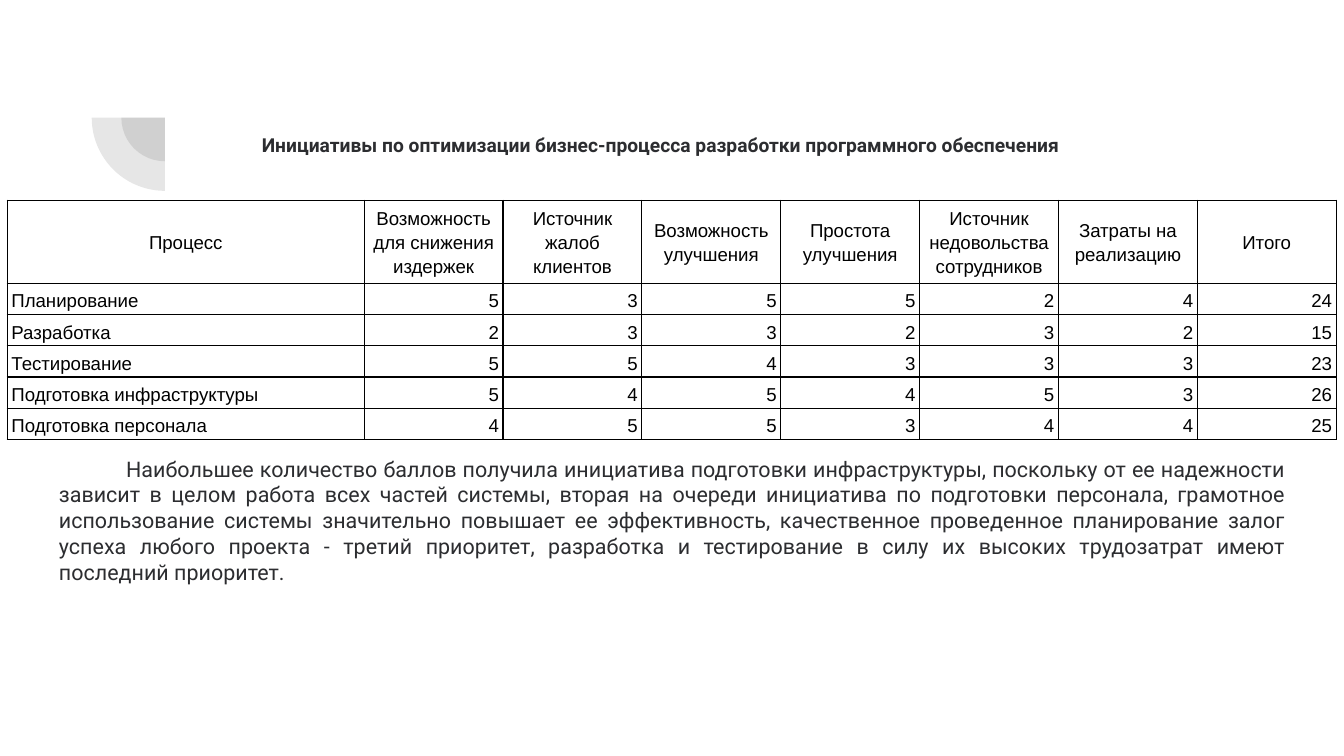
from dataclasses import dataclass

from pptx import Presentation
from pptx.dml.color import RGBColor as Rgb
from pptx.enum.shapes import MSO_SHAPE as Shape
from pptx.enum.text import MSO_ANCHOR as Anchor, PP_ALIGN as Align
from pptx.oxml.ns import qn
from pptx.util import Pt
from lxml.etree import SubElement as Sub


@dataclass(frozen=True)
class Theme:
    ink: str = "2C2D30"
    black: str = "000000"
    white: str = "FFFFFF"
    gray: str = "424242"
    alpha: int = 13000
    font: str = "Roboto"
    grid_font: str = "Arial"
    title: float = 10.3
    body: float = 11.5
    cell: float = 10


THEME = Theme()

TITLE = "Инициативы по оптимизации бизнес-процесса разработки программного обеспечения"
BODY = (
    "Наибольшее количество баллов получила инициатива подготовки инфраструктуры, "
    "поскольку от ее надежности зависит в целом работа всех частей системы, вторая "
    "на очереди инициатива по подготовки персонала, грамотное использование системы "
    "значительно повышает ее эффективность, качественное проведенное планирование "
    "залог успеха любого проекта - третий приоритет, разработка и тестирование в силу "
    "их высоких трудозатрат имеют последний приоритет."
)
HEAD = [
    "Процесс", "Возможность для снижения издержек", "Источник жалоб клиентов",
    "Возможность улучшения", "Простота улучшения",
    "Источник недовольства сотрудников", "Затраты на реализацию", "Итого",
]
SCORES = [
    ("Планирование", 5, 3, 5, 5, 2, 4, 24),
    ("Разработка", 2, 3, 3, 2, 3, 2, 15),
    ("Тестирование", 5, 5, 4, 3, 3, 3, 23),
    ("Подготовка инфраструктуры", 5, 4, 5, 4, 5, 3, 26),
    ("Подготовка персонала", 4, 5, 5, 3, 4, 4, 25),
]


def style(para, size, font, color, align, bold=False):
    para.alignment = align
    para.font.size = Pt(size)
    para.font.name = font
    para.font.bold = bold
    para.font.color.rgb = Rgb.from_string(color)


def add_text(slide, box, text, size, align, anchor, bold=False, indent=0):
    frame = slide.shapes.add_textbox(*map(Pt, box)).text_frame
    frame.word_wrap = True
    frame.vertical_anchor = anchor
    frame.margin_left = frame.margin_right = Pt(7.2)
    frame.margin_top = frame.margin_bottom = Pt(7.2)
    para = frame.paragraphs[0]
    para.text = text
    style(para, size, THEME.font, THEME.ink, align, bold)
    if indent:
        para._p.get_or_add_pPr().set("indent", str(Pt(indent)))


def add_arc(slide, x, y, radius):
    """Draw the lower left quarter of a disc centred at x, y."""
    arc = slide.shapes.add_shape(
        Shape.PIE, Pt(x - radius), Pt(y - radius), Pt(2 * radius), Pt(2 * radius))
    arc.adjustments[0], arc.adjustments[1] = 108, 162
    arc.rotation = 270
    arc.shadow.inherit = False
    arc.line.fill.background()
    arc.fill.solid()
    arc.fill.fore_color.rgb = Rgb.from_string(THEME.gray)
    color = arc.fill._xPr.find(qn("a:solidFill"))[0]
    Sub(color, qn("a:alpha"), val=str(THEME.alpha))


def add_edges(cell):
    props = cell._tc.get_or_add_tcPr()
    for side in ("lnL", "lnR", "lnT", "lnB"):
        line = Sub(props, qn(f"a:{side}"), w=str(Pt(0.75)))
        Sub(Sub(line, qn("a:solidFill")), qn("a:srgbClr"), val=THEME.black)


def fill_cell(cell, text, align, anchor, white):
    cell.margin_left = cell.margin_right = Pt(2.25)
    cell.margin_top = cell.margin_bottom = Pt(1.5)
    cell.vertical_anchor = anchor
    cell.text = text
    para = cell.text_frame.paragraphs[0]
    para.line_spacing = 1.15
    style(para, THEME.cell, THEME.grid_font, THEME.black, align)
    add_edges(cell)
    if white:
        cell.fill.solid()
        cell.fill.fore_color.rgb = Rgb.from_string(THEME.white)
    else:
        cell.fill.background()


def add_grid(slide, x, y, widths, heights, rows):
    table = slide.shapes.add_table(
        len(rows), len(widths), Pt(x), Pt(y), Pt(sum(widths)), Pt(sum(heights))).table
    table.first_row = table.horz_banding = False
    for col, width in zip(table.columns, widths):
        col.width = Pt(width)
    for row, height in zip(table.rows, heights):
        row.height = Pt(height)
    for r, row in enumerate(rows):
        for c, value in enumerate(row):
            if r == 0:
                align = Align.CENTER
            else:
                align = Align.RIGHT if c else Align.LEFT
            anchor = Anchor.BOTTOM if r else Anchor.MIDDLE
            total = r > 0 and c == len(row) - 1
            fill_cell(table.cell(r, c), str(value), align, anchor, total)


def main():
    deck = Presentation()
    deck.slide_width, deck.slide_height = Pt(720), Pt(405)
    slide = deck.slides.add_slide(deck.slide_layouts[6])

    # Corner ornament
    for radius in (23.4, 39.24):
        add_arc(slide, 88.4, 63, radius)

    # Title
    add_text(slide, (105.84, 57.6, 496.8, 40.32), TITLE, THEME.title,
             Align.CENTER, Anchor.MIDDLE, bold=True)

    # Score table
    add_grid(slide, 3.9, 107.3, [191.2] + [74.4] * 7,
             [37.5] + [15.84] * len(SCORES), [HEAD, *SCORES])

    # Conclusion
    add_text(slide, (24.48, 236.88, 671.04, 144.72), BODY, THEME.body,
             Align.JUSTIFY, Anchor.TOP, indent=36)

    deck.save("out.pptx")


if __name__ == "__main__":
    main()
